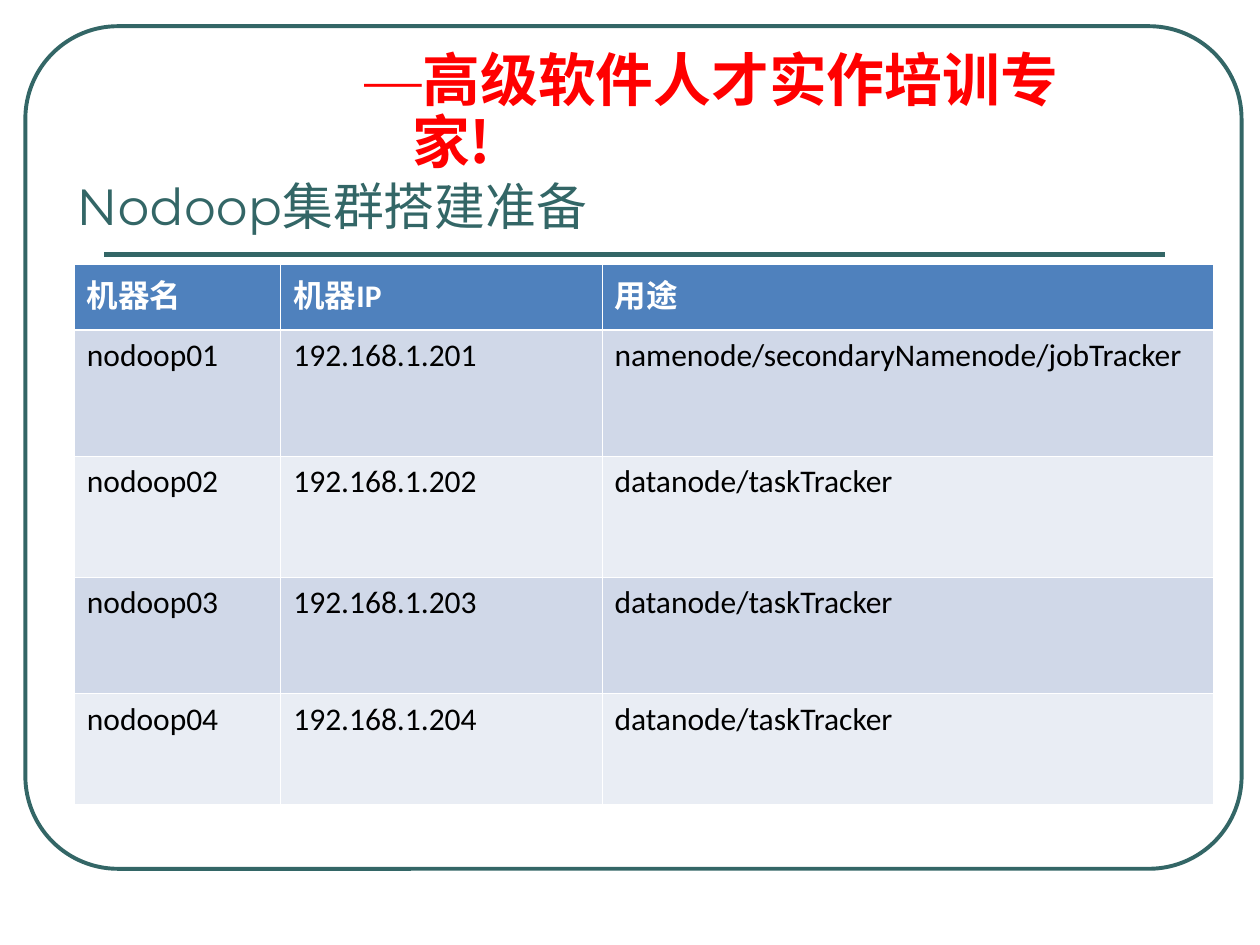
from lxml.etree import SubElement
from pptx import Presentation
from pptx.dml.color import RGBColor
from pptx.enum.shapes import MSO_CONNECTOR, MSO_SHAPE
from pptx.enum.text import MSO_ANCHOR, MSO_AUTO_SIZE, PP_ALIGN
from pptx.oxml.ns import qn
from pptx.util import Pt

TEAL, RED, WHITE, BLACK = "336666", "FF0000", "FFFFFF", "000000"
HEADER_FILL, ODD_FILL, EVEN_FILL = "4F81BD", "D0D8E8", "E9EDF4"
CHINESE_FONT = "Noto Sans CJK SC"
THIN, THICK = 0.45, 1.47

COLUMN_WIDTHS = [118, 183.5, 349.5]
ROW_HEIGHTS = [37.5, 72.5, 69, 66.5, 63]
MACHINES = [
    ("机器名", "机器IP", "用途"),
    ("nodoop01", "192.168.1.201", "namenode/secondaryNamenode/jobTracker"),
    ("nodoop02", "192.168.1.202", "datanode/taskTracker"),
    ("nodoop03", "192.168.1.203", "datanode/taskTracker"),
    ("nodoop04", "192.168.1.204", "datanode/taskTracker"),
]


def color(hex_code):
    return RGBColor.from_string(hex_code)


def format_run(run, size, font, hex_code, bold=False, asian_font=CHINESE_FONT):
    run.font.size = Pt(size)
    run.font.name = font
    run.font.bold = bold
    run.font.color.rgb = color(hex_code)
    SubElement(run.font._element, qn("a:ea"), typeface=asian_font)


def add_frame(page):
    frame = page.shapes.add_shape(
        MSO_SHAPE.ROUNDED_RECTANGLE, Pt(14.5), Pt(15), Pt(695), Pt(481.5))
    frame.adjustments[0] = 0.11
    frame.shadow.inherit = False
    frame.fill.background()
    frame.line.color.rgb = color(TEAL)
    frame.line.width = Pt(2.25)


def add_rule(page):
    rule = page.shapes.add_connector(
        MSO_CONNECTOR.STRAIGHT, Pt(59.5), Pt(145.5), Pt(665.5), Pt(145.5))
    rule.line.color.rgb = color(TEAL)
    rule.line.width = Pt(3)
    SubElement(rule._element.spPr, qn("a:effectLst"))


def add_slogan(page):
    box = page.shapes.add_textbox(Pt(201.5), Pt(26), Pt(453.5), Pt(78.5))
    box.text_frame.word_wrap = True
    para = box.text_frame.paragraphs[0]
    para.line_spacing = 0.9
    para.space_before = Pt(8.2)
    properties = para._p.get_or_add_pPr()
    properties.set("marL", str(Pt(27)))
    properties.set("indent", str(Pt(-27)))
    properties.set("hangingPunct", "0")
    spans = (("—", "Montserrat", False), ("高级软件人才实作培训专家!", CHINESE_FONT, True))
    for text, font, bold in spans:
        span = para.add_run()
        span.text = text
        format_run(span, 33, font, RED, bold, asian_font=font)


def set_title(page, text):
    title = page.shapes.title
    title.left, title.top, title.width, title.height = Pt(36.5), Pt(94.5), Pt(648), Pt(46)
    title.text_frame.text = text
    title.text_frame.auto_size = MSO_AUTO_SIZE.NONE
    title.text_frame.vertical_anchor = MSO_ANCHOR.MIDDLE
    para = title.text_frame.paragraphs[0]
    para.alignment = PP_ALIGN.LEFT
    format_run(para.runs[0], 29, "Montserrat", TEAL)


def set_borders(cell, top, bottom):
    """Draw white cell borders; must run before the cell is filled."""
    properties = cell._tc.get_or_add_tcPr()
    for side, width in (("L", THIN), ("R", THIN), ("T", top), ("B", bottom)):
        line = SubElement(properties, qn(f"a:ln{side}"), w=str(Pt(width)))
        SubElement(SubElement(line, qn("a:solidFill")), qn("a:srgbClr"), val=WHITE)


def format_cell(cell, text, row):
    is_header = row == 0
    set_borders(cell, THICK if row == 1 else THIN, THICK if is_header else THIN)
    cell.fill.solid()
    fill = HEADER_FILL if is_header else ODD_FILL if row % 2 else EVEN_FILL
    cell.fill.fore_color.rgb = color(fill)
    cell.text_frame.text = text
    para = cell.text_frame.paragraphs[0]
    para.space_before = Pt(4.5)
    format_run(para.runs[0], 18, "Calibri", WHITE if is_header else BLACK, is_header)


def add_machine_table(page):
    table = page.shapes.add_table(
        len(ROW_HEIGHTS), len(COLUMN_WIDTHS), Pt(42.5), Pt(151),
        Pt(sum(COLUMN_WIDTHS)), Pt(sum(ROW_HEIGHTS))).table
    for column, width in zip(table.columns, COLUMN_WIDTHS):
        column.width = Pt(width)
    for row, height in enumerate(ROW_HEIGHTS):
        table.rows[row].height = Pt(height)
        for column, text in enumerate(MACHINES[row]):
            format_cell(table.cell(row, column), text, row)


def main():
    deck = Presentation()
    deck.slide_width, deck.slide_height = Pt(720), Pt(540)
    page = deck.slides.add_slide(deck.slide_layouts[5])
    add_frame(page)
    add_rule(page)
    add_slogan(page)
    set_title(page, "Nodoop集群搭建准备")
    add_machine_table(page)
    deck.save("out.pptx")


if __name__ == "__main__":
    main()
